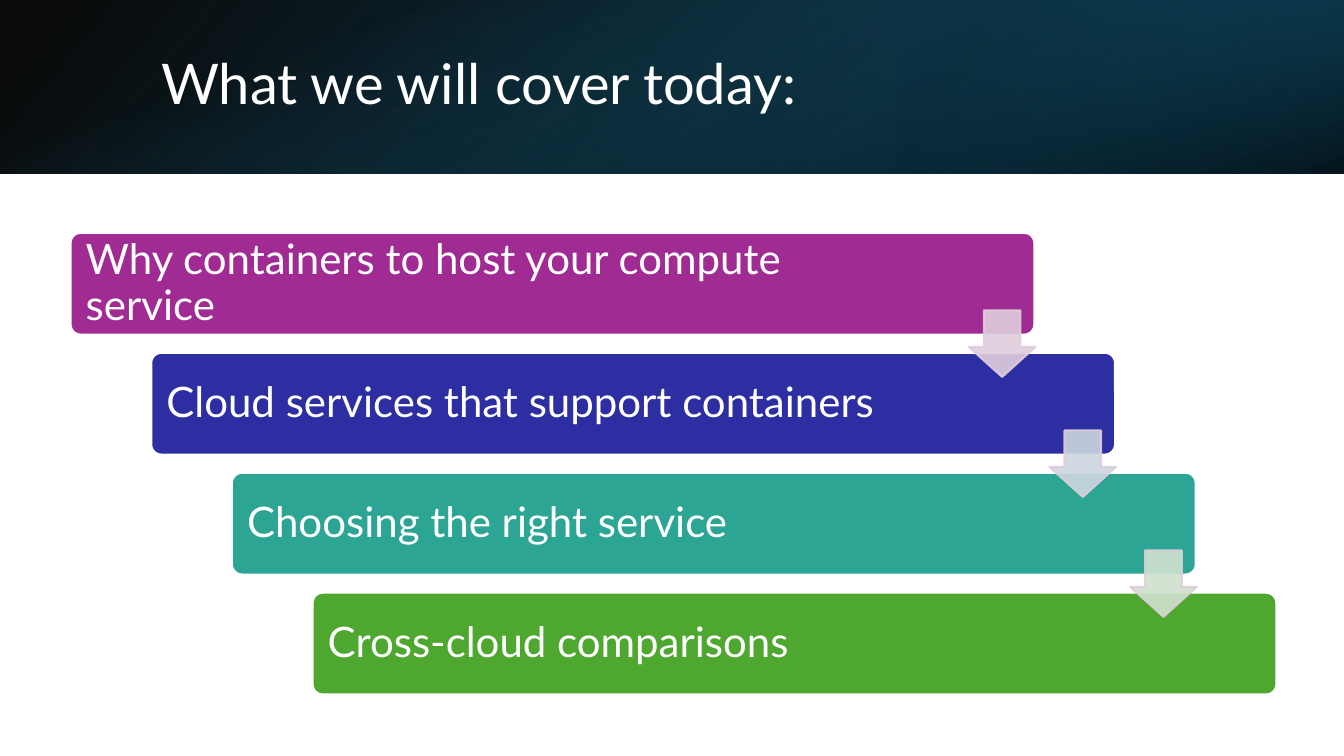
from pptx import Presentation
from pptx.dml.color import RGBColor
from pptx.enum.shapes import MSO_SHAPE
from pptx.enum.text import MSO_ANCHOR
from pptx.oxml.ns import qn
from pptx.util import Inches, Pt
from lxml.etree import SubElement

WHITE = RGBColor(0xFF, 0xFF, 0xFF)
BLACK = RGBColor(0x00, 0x00, 0x00)
TEAL = RGBColor(0x15, 0x60, 0x82)
MID_TEAL = RGBColor(0x10, 0x48, 0x62)
DEEP_TEAL = RGBColor(0x0B, 0x30, 0x41)
PURPLE = RGBColor(0xA0, 0x2B, 0x93)
INDIGO = RGBColor(0x2C, 0x2E, 0xA2)
AQUA = RGBColor(0x2D, 0xA5, 0x94)
GREEN = RGBColor(0x4E, 0xA7, 0x2E)
PALE_PINK = RGBColor(0xDF, 0xCD, 0xDC)
PALE_BLUE = RGBColor(0xCD, 0xD6, 0xE0)
PALE_GREEN = RGBColor(0xD0, 0xE1, 0xCD)

W, H = 13.33, 7.5
BAND_H = 1.72
FONT = "Lato"

TITLE = "What we will cover today:"
STEPS = [
    ("Why containers to host your compute service", PURPLE, 8.39),
    ("Cloud services that support containers", INDIGO, 8.05),
    ("Choosing the right service", AQUA, 8.05),
    ("Cross-cloud comparisons", GREEN, 8.05),
]
ARROWS = [PALE_PINK, PALE_BLUE, PALE_GREEN]
BANDS = [
    ((0, 0, W, BAND_H), 0, True, 140, [(0, BLACK, 96), (1, MID_TEAL, 100)]),
    ((W * 2 / 3, 0, W / 3, BAND_H), 180, True, 320,
     [(0.19, DEEP_TEAL, 68), (1, TEAL, 79)]),
    (((W - BAND_H) / 2, (BAND_H - W) / 2, BAND_H, W), 90, False, 340,
     [(0.23, TEAL, 0), (0.99, BLACK, 74)]),
]

STEP_X, STEP_Y = 0.8, 1.19
BAR_X, BAR_Y, BAR_W, BAR_H = 0.7, 2.31, 9.56, 1.01
ARROW_X, ARROW_Y, ARROW_SIZE = 9.61, 3.08, 0.66
PAD = 0.03

prs = Presentation()
prs.slide_width, prs.slide_height = Inches(W), Inches(H)
s = prs.slides.add_slide(prs.slide_layouts[6])


def add_shape(kind, box, adjustments=()):
    sp = s.shapes.add_shape(kind, *map(Inches, box))
    sp.shadow.inherit = False
    for i, value in enumerate(adjustments):
        sp.adjustments[i] = value
    return sp


def paint(sp, fill, line):
    sp.fill.solid()
    sp.fill.fore_color.rgb = fill
    sp.line.color.rgb = line
    sp.line.width = Pt(1.5)


def set_opacity(sp, values):
    for color, value in zip(sp.element.iter(qn("a:srgbClr")), values):
        SubElement(color, qn("a:alpha")).set("val", str(value * 1000))


def add_text(text, box, size, inset=None):
    tf = s.shapes.add_textbox(*map(Inches, box)).text_frame
    tf.word_wrap = True
    tf.vertical_anchor = MSO_ANCHOR.MIDDLE
    if inset is not None:
        tf.margin_left = tf.margin_right = Inches(inset)
        tf.margin_top = tf.margin_bottom = Inches(inset)
    p = tf.paragraphs[0]
    p.line_spacing = 0.9
    r = p.add_run()
    r.text = text
    r.font.name = FONT
    r.font.size = Pt(size)
    r.font.color.rgb = WHITE


for box, rotation, flipped, angle, stops in BANDS:
    sp = add_shape(MSO_SHAPE.RECTANGLE, box)
    sp.rotation = rotation
    if flipped:
        sp.element.spPr.find(qn("a:xfrm")).set("flipH", "1")
    sp.line.fill.background()
    sp.fill.gradient()
    sp.fill.gradient_angle = 360 - angle
    for stop, (position, color, _) in zip(sp.fill.gradient_stops, stops):
        stop.position = position
        stop.color.rgb = color
    set_opacity(sp, [opacity for _, _, opacity in stops])

add_text(TITLE, (1.5, 0.38, 10.98, 0.96), 40)

for i, (text, color, width) in enumerate(STEPS):
    x, y = BAR_X + i * STEP_X, BAR_Y + i * STEP_Y
    bar = add_shape(MSO_SHAPE.ROUNDED_RECTANGLE, (x, y, BAR_W, BAR_H), [0.1])
    paint(bar, color, WHITE)
    add_text(text, (x + PAD, y + PAD, width, BAR_H - 2 * PAD), 30, inset=0.12)

for i, color in enumerate(ARROWS):
    box = (ARROW_X + i * STEP_X, ARROW_Y + i * STEP_Y, ARROW_SIZE, ARROW_SIZE)
    arrow = add_shape(MSO_SHAPE.DOWN_ARROW, box, [0.55, 0.45])
    paint(arrow, color, PALE_PINK)
    set_opacity(arrow, [90, 90])

prs.save("out.pptx")
